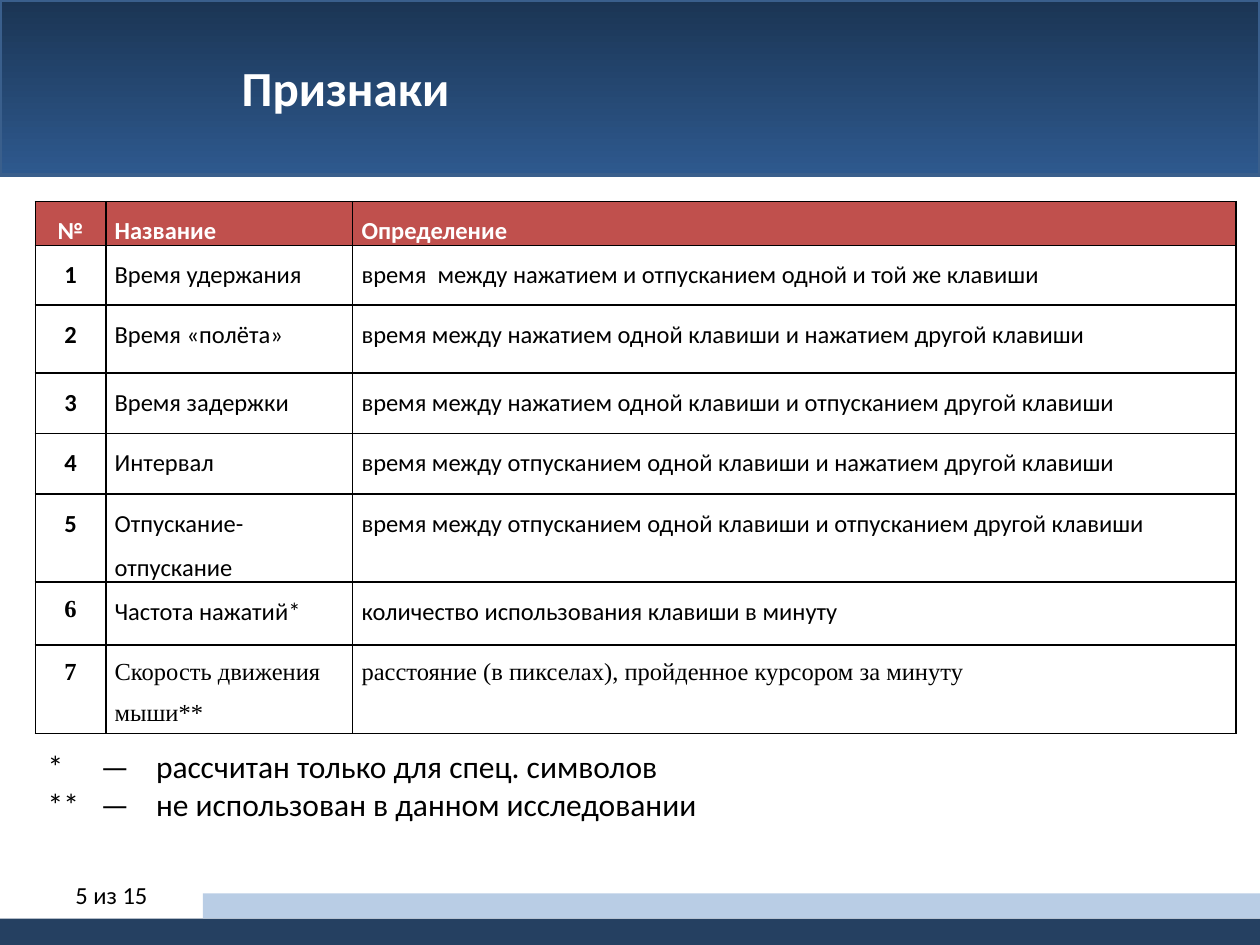
from lxml.etree import SubElement
from pptx import Presentation
from pptx.dml.color import RGBColor
from pptx.enum.shapes import MSO_SHAPE
from pptx.enum.text import MSO_ANCHOR, PP_ALIGN
from pptx.oxml.ns import qn
from pptx.util import Inches, Pt

W, H = 10, 7.5
BODY, SERIF = "Calibri", "Times New Roman"
COLORS = {
    "white": "FFFFFF", "black": "000000", "header": "C0504D",
    "band_top": "1B3554", "band_bottom": "2E598E", "band_line": "3A5F8C",
    "footer": "254061", "strip": "B9CDE5",
}

TITLE = "Признаки"
PAGE = "5 из 15"
HEADER = ("№", "Название", "Определение")
# name, definition, font of the number, font of the text
FEATURES = [
    ("Время удержания", "время  между нажатием и отпусканием одной и той же клавиши", BODY, BODY),
    ("Время «полёта»", "время между нажатием одной клавиши и нажатием другой клавиши", BODY, BODY),
    ("Время задержки", "время между нажатием одной клавиши и отпусканием другой клавиши", BODY, BODY),
    ("Интервал", "время между отпусканием одной клавиши и нажатием другой клавиши", BODY, BODY),
    ("Отпускание-отпускание", "время между отпусканием одной клавиши и отпусканием другой клавиши", BODY, BODY),
    ("Частота нажатий*", "количество использования клавиши в минуту", SERIF, BODY),
    ("Скорость движения мыши**", "расстояние (в пикселах), пройденное курсором за минуту", SERIF, SERIF),
]
NOTES = [("*", "рассчитан только для спец. символов"),
         ("**", "не использован в данном исследовании")]

COL_WIDTHS = (0.56, 1.96, 7.01)
ROW_HEIGHTS = (0.29, 0.47, 0.54, 0.48, 0.48, 0.62, 0.5, 0.62)
LEFT, TABLE_TOP = 0.28, 1.6
NOTE_TABS = (0.42, 0.86)
BAND_H, FOOTER_H, STRIP_H, STRIP_LEFT = 1.39, 0.21, 0.2, 1.61


def rgb(name):
    return RGBColor.from_string(COLORS[name])


def style(p, size, color="black", bold=False, font=BODY):
    p.font.size, p.font.bold, p.font.name = Pt(size), bold, font
    p.font.color.rgb = rgb(color)


def add_bar(s, x, y, w, h, color=None):
    bar = s.shapes.add_shape(MSO_SHAPE.RECTANGLE, *map(Inches, (x, y, w, h)))
    bar.shadow.inherit = False
    if color:
        bar.fill.solid()
        bar.fill.fore_color.rgb = rgb(color)
        bar.line.fill.background()
    return bar


def add_text(s, x, y, w, h, lines, size, **font):
    tf = s.shapes.add_textbox(*map(Inches, (x, y, w, h))).text_frame
    tf.word_wrap = True
    for i, line in enumerate(lines):
        p = tf.paragraphs[0] if i == 0 else tf.add_paragraph()
        p.text = line
        style(p, size, **font)
    return tf


def set_tabs(p, stops):
    tabs = SubElement(p._p.get_or_add_pPr(), qn("a:tabLst"))
    # the tab list has to come before the default run properties
    p._p.pPr.insert(0, tabs)
    for stop in stops:
        SubElement(tabs, qn("a:tab"), pos=str(Inches(stop)), algn="l")


def add_borders(cell):
    """Draw a 1 pt line on each side; lines come before the fill in tcPr."""
    tc_pr = cell._tc.get_or_add_tcPr()
    for i, side in enumerate(("lnL", "lnR", "lnT", "lnB")):
        ln = SubElement(tc_pr, qn(f"a:{side}"), w=str(Pt(1)))
        fill = SubElement(ln, qn("a:solidFill"))
        SubElement(fill, qn("a:srgbClr"), val=COLORS["black"])
        tc_pr.insert(i, ln)


def fill_cell(cell, text, col, is_header, font):
    cell.margin_left = cell.margin_right = Inches(0.07)
    cell.margin_top = cell.margin_bottom = 0
    cell.vertical_anchor = MSO_ANCHOR.MIDDLE if is_header else MSO_ANCHOR.TOP
    cell.fill.solid()
    cell.fill.fore_color.rgb = rgb("header" if is_header else "white")
    add_borders(cell)
    p = cell.text_frame.paragraphs[0]
    p.text = text
    p.line_spacing = 1.5
    p.alignment = PP_ALIGN.CENTER if col == 0 else PP_ALIGN.LEFT
    style(p, 14, "white" if is_header else "black", is_header or col == 0, font)


def add_feature_table(s):
    rows = [(HEADER, (BODY,) * 3)]
    for n, (name, definition, num_font, font) in enumerate(FEATURES, 1):
        rows.append(((str(n), name, definition), (num_font, font, font)))
    table = s.shapes.add_table(
        len(rows), len(HEADER), Inches(LEFT), Inches(TABLE_TOP),
        Inches(sum(COL_WIDTHS)), Inches(sum(ROW_HEIGHTS))).table
    for column, width in zip(table.columns, COL_WIDTHS):
        column.width = Inches(width)
    for row, height in zip(table.rows, ROW_HEIGHTS):
        row.height = Inches(height)
    for r, (texts, fonts) in enumerate(rows):
        for c, (text, font) in enumerate(zip(texts, fonts)):
            fill_cell(table.cell(r, c), text, c, r == 0, font)


def main():
    prs = Presentation()
    prs.slide_width, prs.slide_height = Inches(W), Inches(H)
    s = prs.slides.add_slide(prs.slide_layouts[6])

    band = add_bar(s, 0, 0, W, BAND_H)
    band.fill.gradient()
    band.fill.gradient_angle = 270
    for stop, name in zip(band.fill.gradient_stops, ("band_top", "band_bottom")):
        stop.color.rgb = rgb(name)
    # the colour change is quicker in the upper half
    band.line.color.rgb = rgb("band_line")
    band.line.width = Pt(2)
    title = add_text(s, 1.32, 0.41, 8.11, 0.57, [TITLE], 28, color="white", bold=True)
    title.paragraphs[0]._p.get_or_add_pPr().set("marL", str(Inches(0.5)))

    footer_top = H - FOOTER_H
    add_bar(s, 0, footer_top, W, FOOTER_H, "footer")
    add_bar(s, STRIP_LEFT, footer_top - STRIP_H, W - STRIP_LEFT, STRIP_H, "strip")
    page = add_text(s, -0.28, 6.9, 2.33, 0.4, [PAGE], 14)
    page.vertical_anchor = MSO_ANCHOR.MIDDLE
    page.paragraphs[0].alignment = PP_ALIGN.CENTER

    add_feature_table(s)
    notes = add_text(s, LEFT, 5.88, 7.01, 0.71,
                     [f"{mark}\t—\t{text}" for mark, text in NOTES], 18)
    for p in notes.paragraphs:
        set_tabs(p, NOTE_TABS)

    prs.save("out.pptx")


if __name__ == "__main__":
    main()
